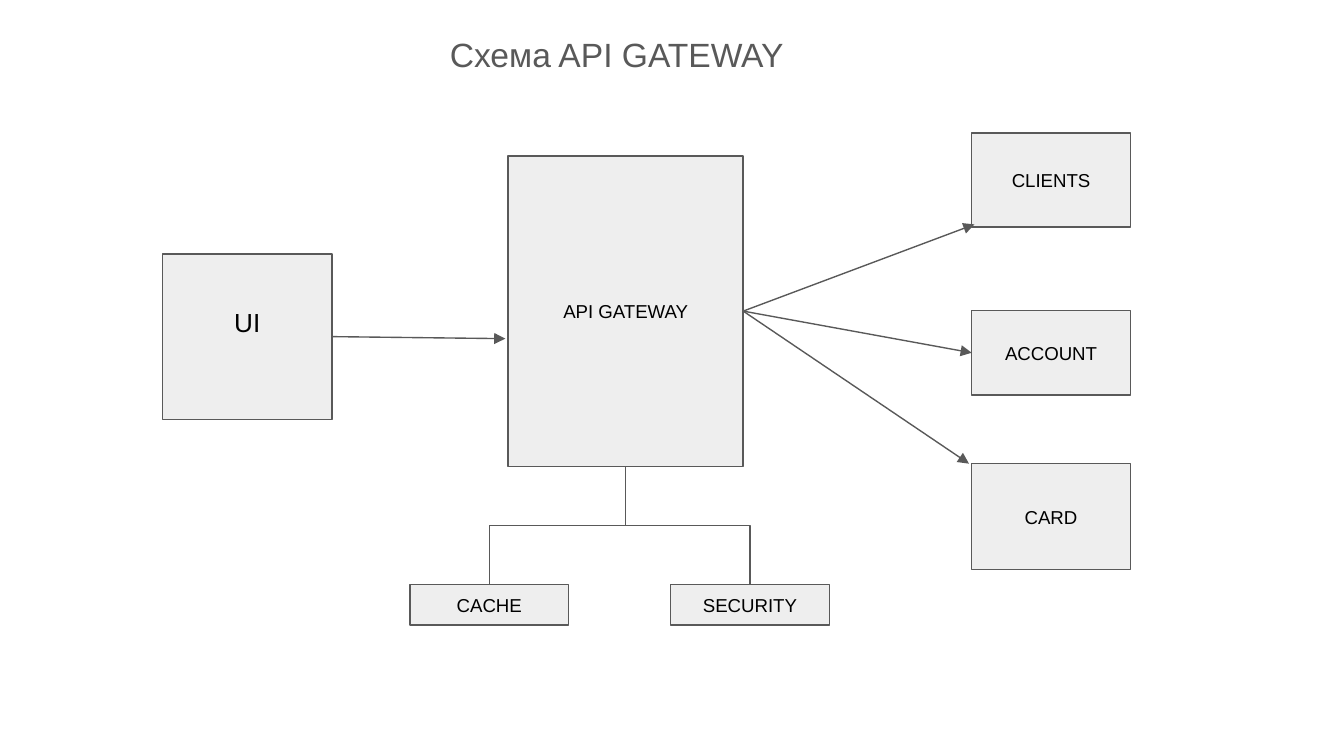
from pptx import Presentation
from pptx.dml.color import RGBColor
from pptx.enum.shapes import MSO_CONNECTOR, MSO_SHAPE
from pptx.enum.text import MSO_ANCHOR, PP_ALIGN
from pptx.oxml.ns import qn
from pptx.util import Inches, Pt
from lxml import etree

RECT = MSO_SHAPE.RECTANGLE
STRAIGHT, ELBOW = MSO_CONNECTOR.STRAIGHT, MSO_CONNECTOR.ELBOW
CENTER = PP_ALIGN.CENTER
MIDDLE, TOP_ANCHOR = MSO_ANCHOR.MIDDLE, MSO_ANCHOR.TOP
GREY = RGBColor(0x59, 0x59, 0x59)
PALE = RGBColor(0xEE, 0xEE, 0xEE)
BLACK = RGBColor(0, 0, 0)
FONT = "Arial"
TOP, LEFT, BOTTOM, RIGHT = range(4)  # connection sites of a rectangle

SMALL_W = 1.18
SERVICE_X = 7.23
SERVICES = [("CLIENTS", 0.99, 0.7), ("ACCOUNT", 2.31, 0.63), ("CARD", 3.45, 0.79)]
MODULE_Y, MODULE_H = 4.35, 0.3
MODULES = [("CACHE", 3.05), ("SECURITY", 4.99)]


def set_text(shape, text, size, color, anchor, bottom=0.1):
    tf = shape.text_frame
    tf.text = text
    tf.word_wrap = True
    tf.vertical_anchor = anchor
    tf.margin_left = tf.margin_right = tf.margin_top = Inches(0.1)
    tf.margin_bottom = Inches(bottom)
    p = tf.paragraphs[0]
    p.alignment = CENTER
    font = p.runs[0].font
    font.name, font.size, font.color.rgb = FONT, Pt(size), color


def add_title(s, text):
    title = s.shapes.title
    title.left, title.top = Inches(2.36), Inches(0.15)
    title.width, title.height = Inches(4.46), Inches(0.5)
    set_text(title, text, 18, GREY, TOP_ANCHOR)


def add_box(s, text, x, y, w, h, size=10, bottom=0.1):
    box = s.shapes.add_shape(RECT, Inches(x), Inches(y), Inches(w), Inches(h))
    box.shadow.inherit = False
    box.fill.solid()
    box.fill.fore_color.rgb = PALE
    box.line.color.rgb = GREY
    box.line.width = Pt(0.75)
    set_text(box, text, size, BLACK, MIDDLE, bottom)
    return box


def style_line(line):
    line.line.color.rgb = GREY
    line.line.width = Pt(0.75)
    etree.SubElement(line._element.spPr, qn("a:effectLst"))


def add_arrow(s, source, x, y, target=None):
    """Arrow from the right side of source to a point or a target's left side."""
    arrow = s.shapes.add_connector(STRAIGHT, 0, 0, Inches(x), Inches(y))
    arrow.begin_connect(source, RIGHT)
    if target is not None:
        arrow.end_connect(target, LEFT)
    style_line(arrow)
    etree.SubElement(arrow.line._get_or_add_ln(), qn("a:tailEnd"), type="triangle")


def add_branch(s, parent, child):
    """Elbow that runs down, across and down from parent to child."""
    x1, y1 = parent.left + parent.width // 2, parent.top + parent.height
    x2, y2 = child.left + child.width // 2, child.top
    branch = s.shapes.add_connector(ELBOW, x1, y1, x2, y2)
    branch.begin_connect(parent, BOTTOM)
    branch.end_connect(child, TOP)
    # The elbow runs across first, so turn its frame by a quarter
    branch.width, branch.height = y2 - y1, abs(x2 - x1)
    branch.left = (x1 + x2 - branch.width) // 2
    branch.top = (y1 + y2 - branch.height) // 2
    rightward = x2 > x1
    xfrm = branch._element.spPr.find(qn("a:xfrm"))
    xfrm.set("rot", str((270 if rightward else 90) * 60000))
    xfrm.set("flipH", "1" if rightward else "0")
    xfrm.set("flipV", "0")
    style_line(branch)


def main():
    prs = Presentation()
    prs.slide_width = Inches(10)
    prs.slide_height = prs.slide_width * 9 // 16
    s = prs.slides.add_slide(prs.slide_layouts[5])
    add_title(s, "Схемa API GATEWAY")

    # Boxes; the UI label sits a little above the middle
    ui = add_box(s, "UI", 1.21, 1.89, 1.26, 1.23, size=14, bottom=0.31)
    gateway = add_box(s, "API GATEWAY", 3.78, 1.16, 1.75, 2.31)
    services = {name: add_box(s, name, SERVICE_X, y, SMALL_W, h)
                for name, y, h in SERVICES}
    modules = [add_box(s, name, x, MODULE_Y, SMALL_W, MODULE_H)
               for name, x in MODULES]

    # Request flow
    add_arrow(s, ui, 3.76, 2.52)
    add_arrow(s, gateway, 7.25, 1.67)
    add_arrow(s, gateway, 7.23, 2.63, services["ACCOUNT"])
    add_arrow(s, gateway, 7.21, 3.45)

    # Modules of the gateway
    for module in modules:
        add_branch(s, gateway, module)

    prs.save("out.pptx")


if __name__ == "__main__":
    main()
